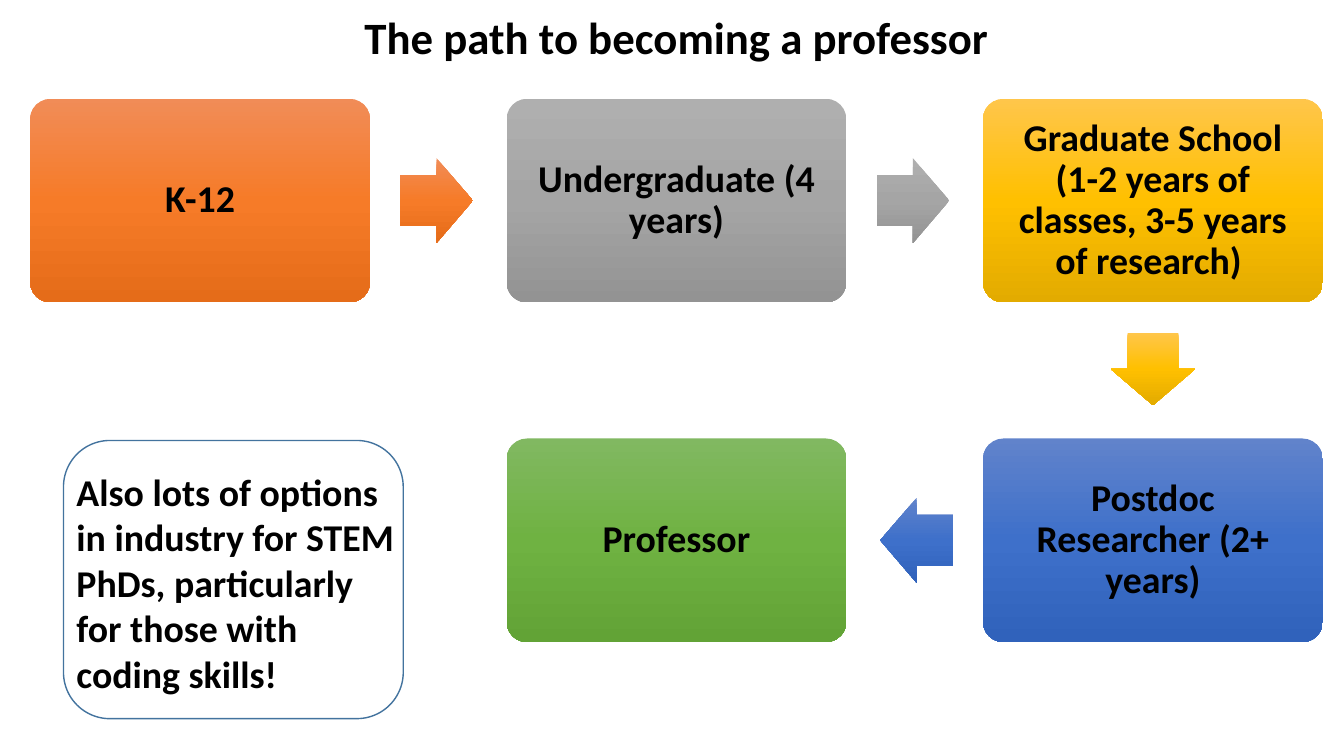
import copy

import pptx
import pptx.dml.color
import pptx.enum.shapes
import pptx.enum.text
import pptx.oxml.ns
import pptx.util

Inches = pptx.util.Inches
SHAPES = pptx.enum.shapes.MSO_SHAPE
ALIGN = pptx.enum.text.PP_ALIGN
ANCHOR = pptx.enum.text.MSO_ANCHOR

TITLE = "The path to becoming a professor"
# Stage text, (column, row), gradient from top to bottom, arrow rotation
STAGES = [
    ("K-12", (0, 0), ("F18C57", "F67B28", "E56C19"), 0),
    ("Undergraduate (4 years)", (1, 0), ("AFAFAF", "A5A5A5", "939393"), 0),
    ("Graduate School (1-2 years of classes, 3-5 years of research) ",
     (2, 0), ("FFC64B", "FFC000", "E3AB00"), 90),
    ("Postdoc Researcher (2+ years)", (2, 1), ("6183CB", "3E70CA", "3062BB"), 180),
    ("Professor", (1, 1), ("81B861", "6FB242", "62A336"), None),
]
INDUSTRY_NOTE = ("Also lots of options in industry for STEM PhDs, "
                 "particularly for those with coding skills!")

CARD_W, CARD_H = 3.37, 2.02
FIRST_LEFT, LAST_LEFT = 0.3, 9.75
FIRST_TOP, LAST_TOP = 0.98, 4.35
COLUMN_STEP = (LAST_LEFT - FIRST_LEFT) / 2
ROW_STEP = LAST_TOP - FIRST_TOP
ARROW_LENGTH, ARROW_WIDTH, ARROW_GAP = 0.72, 0.84, 0.3
DIRECTIONS = {0: (1, 0), 90: (0, 1), 180: (-1, 0)}


def rgb(value):
    return pptx.dml.color.RGBColor.from_string(value)


def write(frame, text, size, align=ALIGN.LEFT, spacing=None):
    frame.word_wrap = True
    frame.text = text
    paragraph = frame.paragraphs[0]
    paragraph.alignment = align
    paragraph.line_spacing = spacing
    paragraph.font.name = "Calibri"
    paragraph.font.size = pptx.util.Pt(size)
    paragraph.font.bold = True
    paragraph.font.color.rgb = rgb("000000")


def add_shape(kind, left, top, width, height):
    shape = slide.shapes.add_shape(
        kind, Inches(left), Inches(top), Inches(width), Inches(height))
    shape.shadow.inherit = False
    return shape


def shade(shape, colors):
    """Fill with an upright three-stop gradient, whatever the rotation."""
    shape.line.fill.background()
    shape.fill.gradient()
    shape.fill.gradient_angle = 270
    gradient = shape._element.spPr.find(pptx.oxml.ns.qn("a:gradFill"))
    gradient.set("rotWithShape", "0")
    stop_list = gradient.find(pptx.oxml.ns.qn("a:gsLst"))
    stop_list.append(copy.deepcopy(stop_list[0]))
    for stop, color, position in zip(shape.fill.gradient_stops, colors, (0, 0.5, 1)):
        stop.color.rgb = rgb(color)
        stop.position = position


deck = pptx.Presentation()
deck.slide_width, deck.slide_height = Inches(13.33), Inches(7.5)
slide = deck.slides.add_slide(deck.slide_layouts[5])

title = slide.shapes.title
title.left, title.top = Inches(0.96), Inches(0.11)
title.width, title.height = Inches(11.5), Inches(0.7)
title.text_frame.vertical_anchor = ANCHOR.TOP
write(title.text_frame, TITLE, 32, ALIGN.CENTER, 0.9)

for text, (column, row), colors, rotation in STAGES:
    left = FIRST_LEFT + column * COLUMN_STEP
    top = FIRST_TOP + row * ROW_STEP
    card = add_shape(SHAPES.ROUNDED_RECTANGLE, left, top, CARD_W, CARD_H)
    card.adjustments[0] = 0.1
    shade(card, colors)
    frame = card.text_frame
    frame.margin_left = frame.margin_right = Inches(0.11)
    frame.margin_top = frame.margin_bottom = Inches(0.11)
    frame.vertical_anchor = ANCHOR.MIDDLE
    write(frame, text, 27, ALIGN.CENTER, 0.9)

    if rotation is None:
        continue
    across, down = DIRECTIONS[rotation]
    reach = ARROW_GAP + ARROW_LENGTH / 2
    center_x = left + CARD_W / 2 + across * (CARD_W / 2 + reach)
    center_y = top + CARD_H / 2 + down * (CARD_H / 2 + reach)
    arrow = add_shape(SHAPES.RIGHT_ARROW, center_x - ARROW_LENGTH / 2,
                      center_y - ARROW_WIDTH / 2, ARROW_LENGTH, ARROW_WIDTH)
    arrow.adjustments[0], arrow.adjustments[1] = 0.6, 0.5
    arrow.rotation = rotation
    shade(arrow, colors)

note = slide.shapes.add_textbox(Inches(0.66), Inches(4.6), Inches(3.38), Inches(2.37))
write(note.text_frame, INDUSTRY_NOTE, 27)
note.text_frame.auto_size = pptx.enum.text.MSO_AUTO_SIZE.SHAPE_TO_FIT_TEXT

note_outline = add_shape(SHAPES.ROUNDED_RECTANGLE, 0.63, 4.37, CARD_W, 2.76)
note_outline.fill.background()
note_outline.line.color.rgb = rgb("43739E")
note_outline.line.width = pptx.util.Pt(1)

deck.save("out.pptx")
